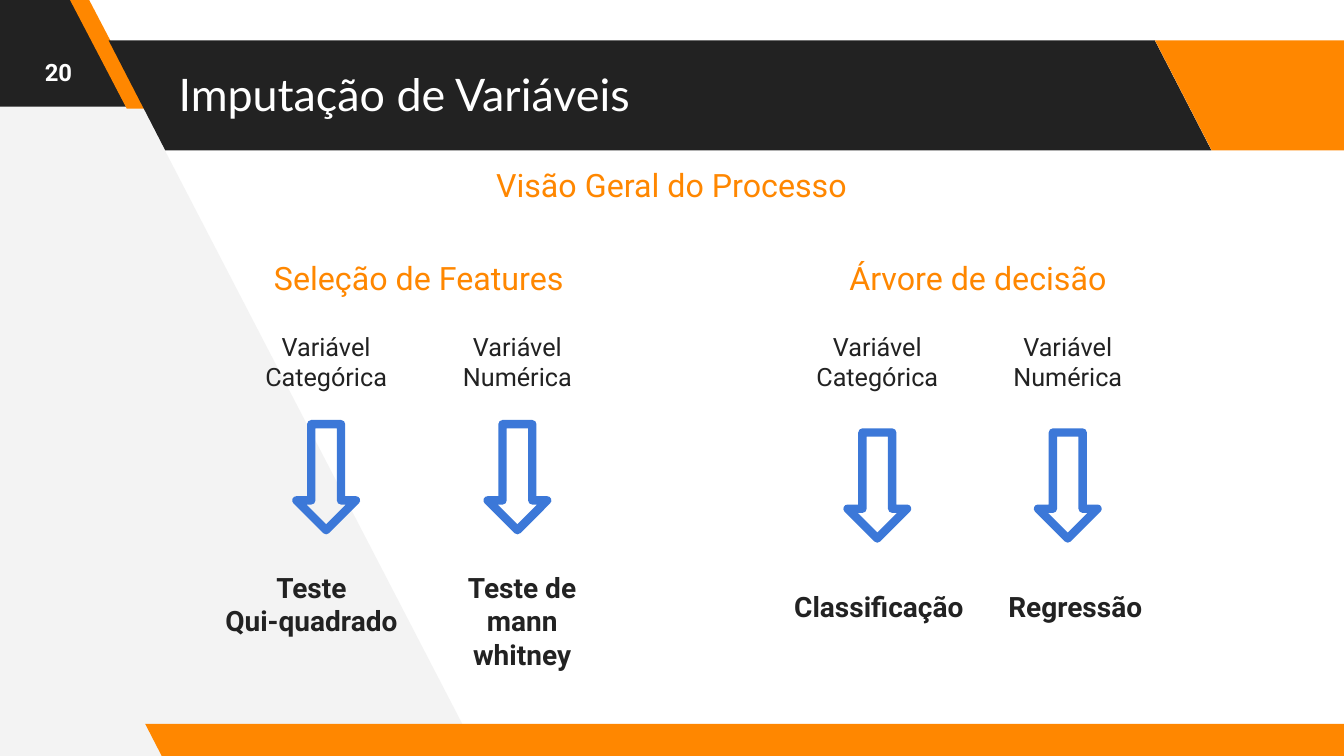
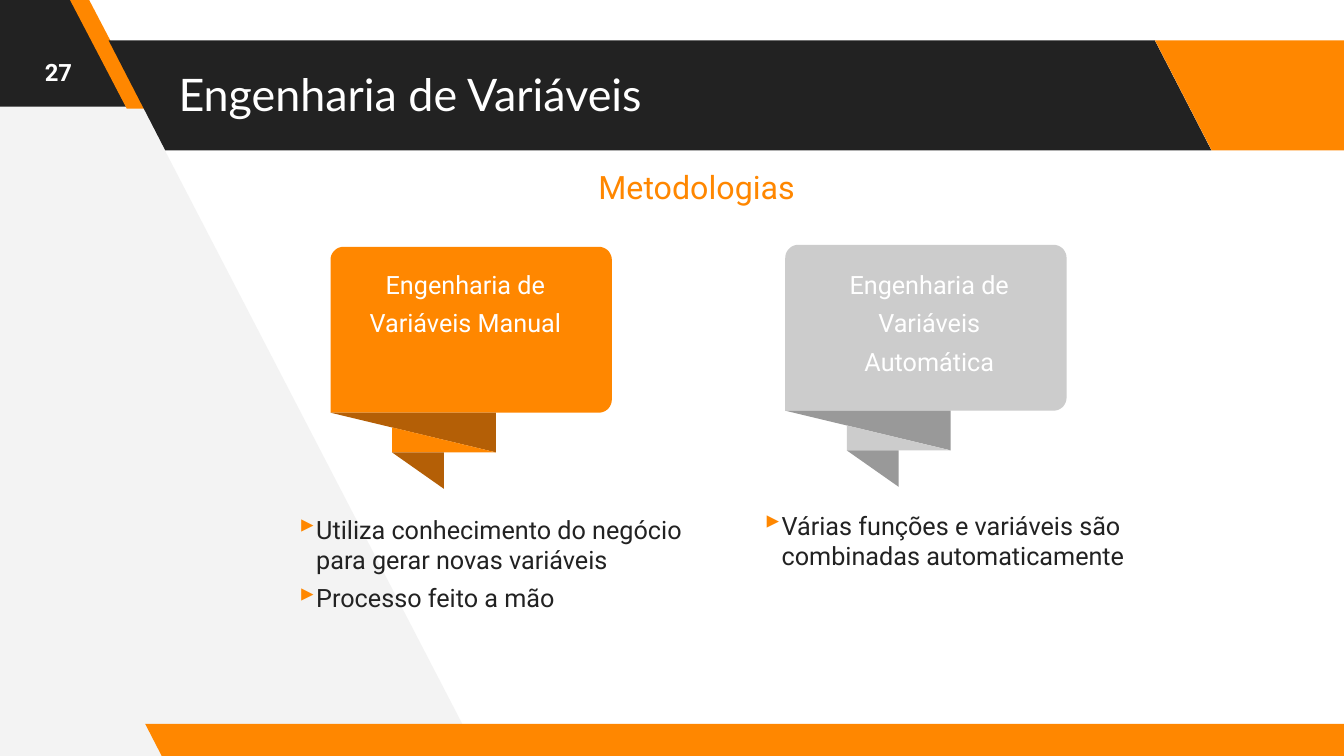
"""Build two slides on variable imputation and feature engineering."""
from dataclasses import dataclass
from math import cos, radians, sin

from lxml.etree import SubElement
from pptx import Presentation
from pptx.dml.color import RGBColor
from pptx.enum.shapes import MSO_SHAPE
from pptx.enum.text import MSO_ANCHOR, PP_ALIGN
from pptx.oxml.ns import qn
from pptx.util import Cm, Pt


@dataclass(frozen=True)
class Theme:
    dark: RGBColor = RGBColor(0x22, 0x22, 0x22)
    orange: RGBColor = RGBColor(0xFF, 0x87, 0x00)
    brown: RGBColor = RGBColor(0xB4, 0x5F, 0x06)
    pale: RGBColor = RGBColor(0xF3, 0xF3, 0xF3)
    silver: RGBColor = RGBColor(0xCC, 0xCC, 0xCC)
    gray: RGBColor = RGBColor(0x99, 0x99, 0x99)
    blue: RGBColor = RGBColor(0x3C, 0x78, 0xD8)
    white: RGBColor = RGBColor(0xFF, 0xFF, 0xFF)
    title_font: str = "Lato"
    body_font: str = "Roboto"
    title_size: int = 32
    heading_size: int = 23
    result_size: int = 20
    body_size: int = 18
    number_size: int = 17


theme = Theme()


def write(page, text, left, top, width, height, *, size=theme.body_size,
          color=theme.dark, font=theme.body_font, bold=False,
          align=PP_ALIGN.CENTER, anchor=MSO_ANCHOR.TOP, inset=0.25,
          gap=0, bullet=None):
    box = page.shapes.add_textbox(Cm(left), Cm(top), Cm(width), Cm(height))
    frame = box.text_frame
    frame.word_wrap = True
    frame.vertical_anchor = anchor
    frame.margin_left = frame.margin_right = Cm(inset)
    frame.margin_top = frame.margin_bottom = Cm(inset)
    for index, line in enumerate(text.split("\n")):
        para = frame.add_paragraph() if index else frame.paragraphs[0]
        para.alignment = align
        if index and gap:
            para.space_before = Pt(gap)
        if bullet:
            properties = para._p.get_or_add_pPr()
            properties.set("marL", str(Cm(0.48)))
            properties.set("indent", str(Cm(-0.43)))
            bullet_color = SubElement(properties, qn("a:buClr"))
            SubElement(bullet_color, qn("a:srgbClr"), val=str(theme.orange))
            SubElement(properties, qn("a:buChar"), char=bullet)
        span = para.add_run()
        span.text = line
        span.font.name = font
        span.font.size = Pt(size)
        span.font.bold = bold
        span.font.color.rgb = color


def draw_outline(page, points, color):
    corners = [(Cm(x), Cm(y)) for x, y in points]
    builder = page.shapes.build_freeform(*corners[0])
    builder.add_line_segments(corners[1:], close=True)
    outline = builder.convert_to_shape()
    outline.shadow.inherit = False
    outline.fill.solid()
    outline.fill.fore_color.rgb = color
    outline.line.fill.background()


deck = Presentation()
deck.slide_width, deck.slide_height = Cm(33.87), Cm(19.05)

bands = [
    (-3.35, -0.08, 6.53, 2.77, 0.515, theme.dark),
    (1.75, -0.03, 1.93, 2.77, 0.75, theme.orange),
    (2.74, 1.02, 27.79, 2.77, 0.515, theme.dark),
    (29.11, 1.02, 6.53, 2.77, 0.515, theme.orange),
    (3.66, 18.24, 30.99, 0.84, 0.515, theme.orange),
]
pages = []
for number, title in [("20", "Imputação de Variáveis"), ("27", "Engenharia de Variáveis")]:
    page = deck.slides.add_slide(deck.slide_layouts[6])
    pages.append(page)
    draw_outline(page, [(0, 0), (2.19, 0), (12.07, 19.05), (0, 19.05)], theme.pale)
    for left, top, width, height, slant, color in bands:
        band = page.shapes.add_shape(
            MSO_SHAPE.PARALLELOGRAM, Cm(left), Cm(top), Cm(width), Cm(height))
        band.adjustments[0] = slant
        band._element.spPr.find(qn("a:xfrm")).set("flipH", "1")
        band.shadow.inherit = False
        band.fill.solid()
        band.fill.fore_color.rgb = color
        band.line.fill.background()
    write(page, number, 0, 0, 2.95, 3.61, size=theme.number_size, color=theme.white,
          bold=True, anchor=MSO_ANCHOR.MIDDLE, inset=0.33)
    write(page, title, 4.17, 0.51, 25, 3.71, size=theme.title_size, color=theme.white,
          font=theme.title_font, align=PP_ALIGN.LEFT, anchor=MSO_ANCHOR.MIDDLE, inset=0.33)

process, methods = pages
heading_width = 12.37
headings = [
    (process, "Visão Geral do Processo", 16.93, 3.91),
    (process, "Seleção de Features", 10.56, 6.27),
    (process, "Árvore de decisão", 24.65, 6.27),
    (methods, "Metodologias", 17.56, 3.96),
]
for page, text, center, top in headings:
    write(page, text, center - heading_width / 2, top, heading_width, 1.5,
          size=theme.heading_size, color=theme.orange)

label_width, arrow_width, arrow_height = 4.7, 1.5, 2.67
columns = [
    ("Categórica", 8.22, 10.69, "Teste\nQui-quadrado", 7.85, 14.12, 5.6),
    ("Numérica", 13.04, 10.69, "Teste de mann whitney", 13.16, 14.12, 4.6),
    ("Categórica", 22.11, 10.9, "Classificação", 22.15, 14.6, 4.95),
    ("Numérica", 26.91, 10.9, "Regressão", 27.1, 14.6, 4.95),
]
for kind, center, arrow_top, result, result_center, result_top, result_width in columns:
    write(process, f"Variável\n{kind}", center - label_width / 2, 8.1, label_width, 2)
    arrow = process.shapes.add_shape(
        MSO_SHAPE.DOWN_ARROW, Cm(center - arrow_width / 2), Cm(arrow_top),
        Cm(arrow_width), Cm(arrow_height))
    arrow.shadow.inherit = False
    arrow.fill.background()
    arrow.line.color.rgb = theme.blue
    arrow.line.width = Pt(6)
    SubElement(arrow._element.spPr.find(qn("a:ln")), qn("a:round"))
    write(process, result, result_center - result_width / 2, result_top, result_width, 2.66,
          size=theme.result_size, bold=True)

bubble_width, bubble_height, radius = 7.09, 4.18, 0.33
rounded_corners = [
    (radius, radius, 180),
    (bubble_width - radius, radius, 270),
    (bubble_width - radius, bubble_height - radius, 0),
]
bubble = [(0, bubble_height)] + [
    (x + radius * cos(radians(start + step)), y + radius * sin(radians(start + step)))
    for x, y, start in rounded_corners
    for step in range(0, 91, 10)
]
fold = [(0, 4.18), (4.17, 4.18), (4.17, 5.18)]
tail = [(1.55, 4.55), (4.17, 5.18), (1.55, 5.18)]
tip = [(1.55, 5.18), (2.86, 5.18), (2.86, 6.1)]
callouts = [
    (8.33, 6.22, theme.orange, theme.brown, "Engenharia de\nVariáveis Manual", 8.1,
     "Utiliza conhecimento do negócio para gerar novas variáveis\nProcesso feito a mão",
     7.24, 12.7),
    (19.79, 6.17, theme.silver, theme.gray, "Engenharia de\nVariáveis\nAutomática", 19.79,
     "Várias funções e variáveis são combinadas automaticamente", 18.97, 12.6),
]
for left, top, face, shade, name, name_left, details, details_left, details_top in callouts:
    for points, color in [(bubble, face), (fold, shade), (tail, face), (tip, shade)]:
        draw_outline(methods, [(left + x, top + y) for x, y in points], color)
    write(methods, name, name_left, 6.53, 7.26, 3.4, color=theme.white, gap=6)
    write(methods, details, details_left, details_top, 10.31, 2.92,
          align=PP_ALIGN.LEFT, gap=6, bullet="▸")

deck.save("out.pptx")
